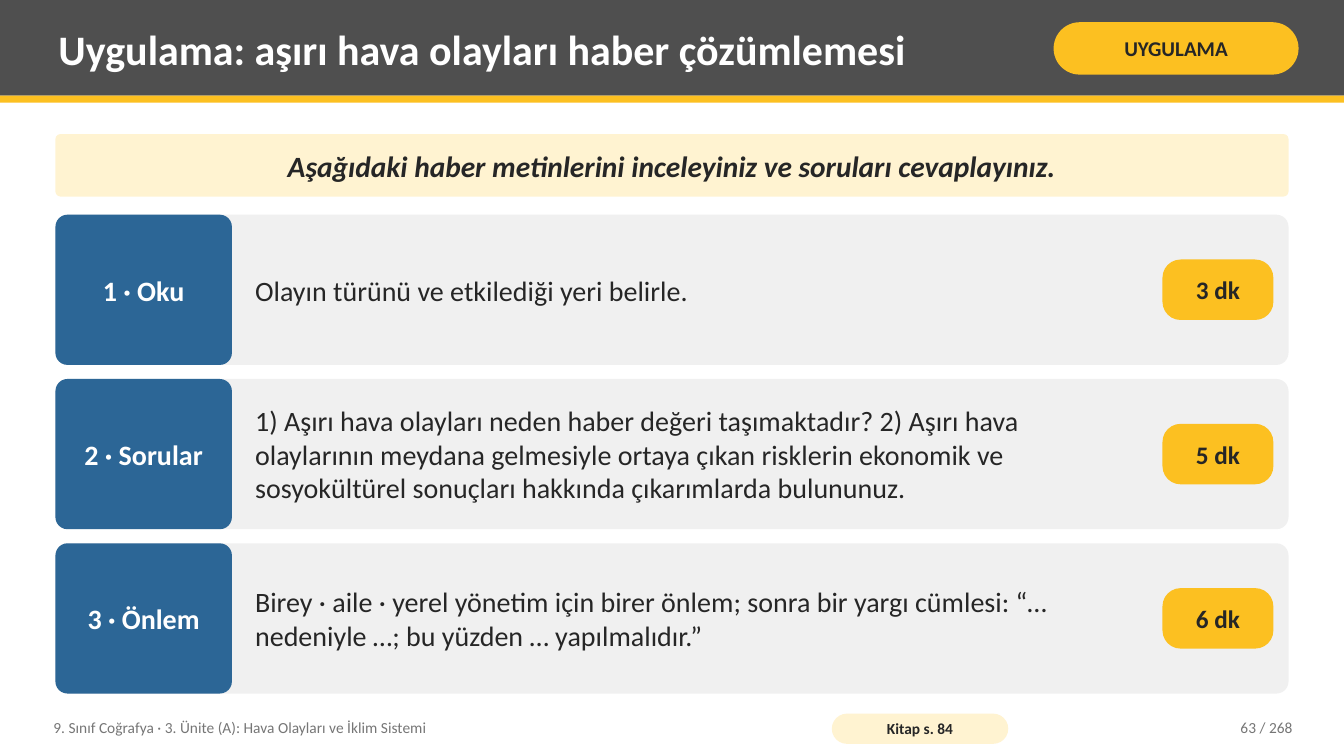
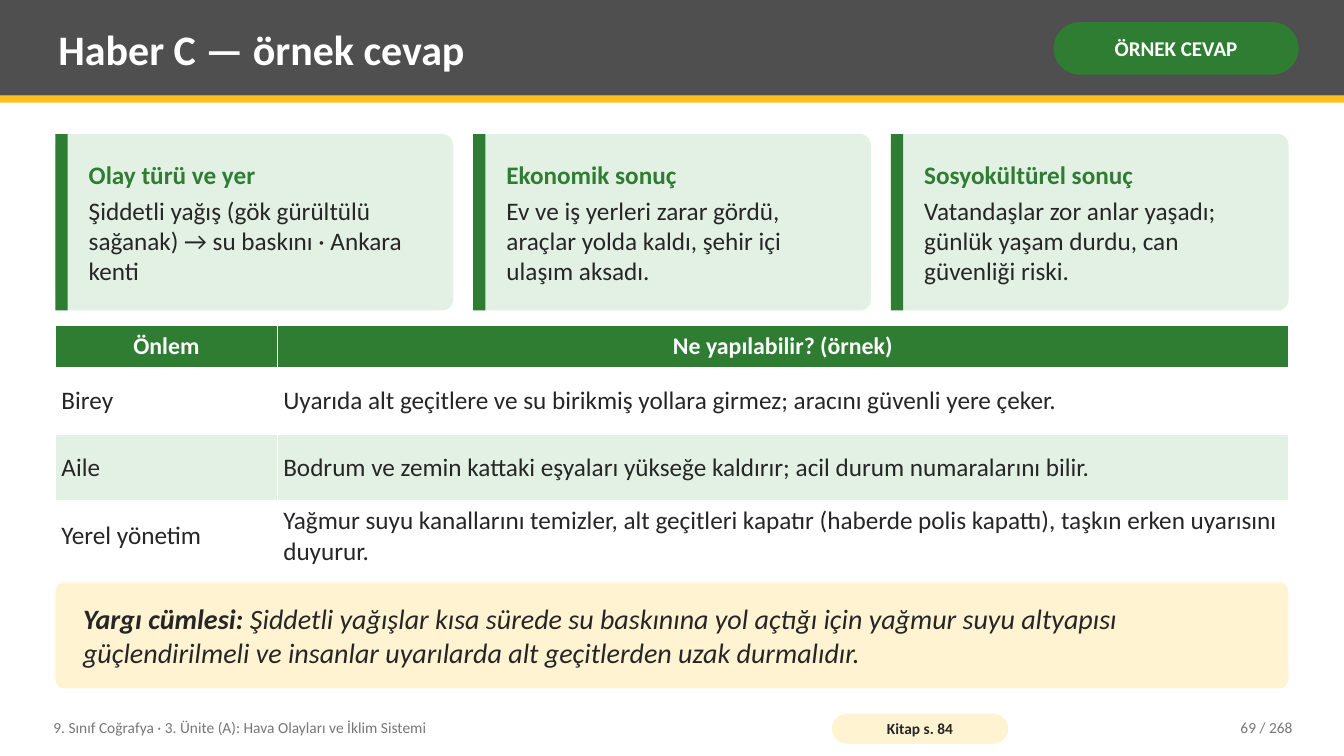
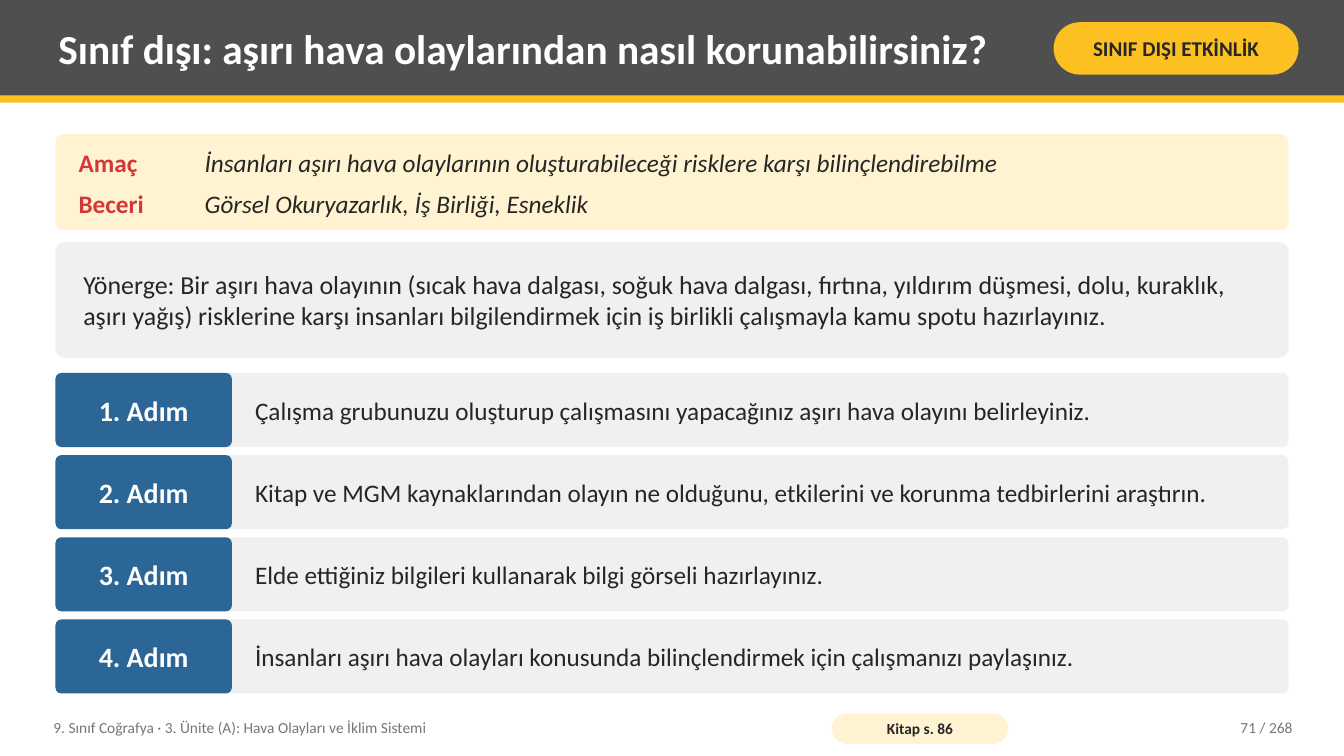
import pptx
import pptx.dml.color
import pptx.enum.shapes
import pptx.enum.text
import pptx.oxml
import pptx.oxml.ns
import pptx.util
from dataclasses import dataclass

Inches = pptx.util.Inches
Kind = pptx.enum.shapes.MSO_SHAPE
Align = pptx.enum.text.PP_ALIGN
Middle = pptx.enum.text.MSO_ANCHOR.MIDDLE


@dataclass(frozen=True)
class Theme:
    # Colours
    white: str = "FFFFFF"
    ink: str = "262626"
    dark: str = "4F4F4F"
    mute: str = "767676"
    gold: str = "FCC021"
    cream: str = "FFF3D1"
    pale: str = "F0F0F0"
    blue: str = "2C6696"
    green: str = "2E7D32"
    mint: str = "E3F1E4"
    red: str = "D3373A"
    # Type
    face: str = "Calibri"
    title: float = 30
    lead: float = 21
    big: float = 20
    body: float = 18
    head: float = 17
    tag: float = 15
    foot: float = 11
    # Page frame
    left: float = 0.55
    wide: float = 12.23
    top: float = 1.33
    end: float = 6.88


T = Theme()
COURSE = "9. Sınıf Coğrafya · 3. Ünite (A): Hava Olayları ve İklim Sistemi"
TOTAL = 268


def color(code):
    return pptx.dml.color.RGBColor.from_string(code)


class Deck:
    def __init__(self):
        self.show = pptx.Presentation()
        self.show.slide_width = Inches(13.33)
        self.show.slide_height = Inches(7.5)
        self.slide = None

    # Text
    def put(self, host, text, pad=(0.08, 0.04), align=Align.LEFT, after=0, **font):
        """Fill a shape or cell; text is a string or a list of lists of (words, format)."""
        frame = host.text_frame
        box = host if hasattr(host, "margin_left") else frame
        across, down = (Inches(side) for side in pad)
        place = {"margin_left": across, "margin_right": across, "margin_top": down,
                 "margin_bottom": down, "vertical_anchor": Middle}
        for name, value in place.items():
            setattr(box, name, value)
        frame.word_wrap = True
        lines = [[(text, {})]] if isinstance(text, str) else text
        for spot, line in enumerate(lines):
            para = frame.add_paragraph() if spot else frame.paragraphs[0]
            para.alignment = align
            if after and spot < len(lines) - 1:
                para.space_after = pptx.util.Pt(after)
            for words, extra in line:
                self.style(para.add_run(), words, {**font, **extra})

    def style(self, run, words, form):
        run.text = words
        form = {"name": T.face, "size": T.body, "bold": False, "italic": False,
                "ink": T.ink, **form}
        run.font.color.rgb = color(form.pop("ink"))
        form["size"] = pptx.util.Pt(form["size"])
        for name, value in form.items():
            setattr(run.font, name, value)

    def label(self, x, y, w, h, text, **form):
        box = self.slide.shapes.add_textbox(*map(Inches, (x, y, w, h)))
        self.put(box, text, **form)

    # Shapes
    def block(self, x, y, w, h, fill, text=None, curve=None, **form):
        kind = Kind.RECTANGLE if curve is None else Kind.ROUNDED_RECTANGLE
        shape = self.slide.shapes.add_shape(kind, *map(Inches, (x, y, w, h)))
        shape.shadow.inherit = False
        shape.fill.solid()
        shape.fill.fore_color.rgb = color(fill)
        shape.line.fill.background()
        if curve is not None:
            shape.adjustments[0] = curve
        if text:
            self.put(shape, text, **form)

    def panel(self, y, h, fill, text=None, **form):
        self.block(T.left, y, T.wide, h, fill, text, 0.08, **form)

    def pill(self, x, y, w, h, fill, text, curve=0.5, **form):
        self.block(x, y, w, h, fill, text, curve, align=Align.CENTER, bold=True, **form)

    # Page with title band, tag and footer
    def page(self, title, tag, book, number, fill=T.gold, ink=T.ink, size=T.title):
        self.slide = self.show.slides.add_slide(self.show.slide_layouts[6])
        self.block(0, 0, 13.33, 0.95, T.dark)
        self.block(0, 0.95, 13.33, 0.07, T.gold)
        self.label(0.5, 0.07, 9.75, 0.82, title, size=size, ink=T.white, bold=True)
        self.pill(10.45, 0.22, 2.43, 0.52, fill, tag, pad=(0.05, 0.02), size=T.tag, ink=ink)
        small = {"size": T.foot, "ink": T.mute}
        self.label(0.45, 7.04, 7.6, 0.36, COURSE, **small)
        self.pill(8.25, 7.08, 1.75, 0.3, T.cream, f"Kitap s. {book}", pad=(0.04, 0), size=T.foot)
        self.label(11.3, 7.04, 1.6, 0.36, f"{number} / {TOTAL}", align=Align.RIGHT, **small)

    # Rows that share the height down to the page end
    def steps(self, top, gap, rows, size):
        high = (T.end - top - gap * (len(rows) - 1)) / len(rows)
        for spot, (name, text, *time) in enumerate(rows):
            y = top + spot * (high + gap)
            self.panel(y, high, T.pale)
            self.pill(T.left, y, 1.75, high, T.blue, name, 0.08,
                      pad=(0.06, 0.08), size=T.big, ink=T.white)
            self.label(2.45, y, 8.88 if time else 10.23, high, text, size=size)
            for span in time:
                self.pill(11.53, y + (high - 0.6) / 2, 1.1, 0.6, T.gold, span, 0.3, pad=(0.03, 0))

    # Equal cards with an accent edge
    def cards(self, items, high=1.75, gap=0.2):
        wide = (T.wide - gap * (len(items) - 1)) / len(items)
        for spot, (head, text) in enumerate(items):
            x = T.left + spot * (wide + gap)
            self.block(x, T.top, wide, high, T.mint, curve=0.06)
            self.block(x, T.top, 0.12, high, T.green)
            lines = [[(head, {"ink": T.green, "bold": True})], [(text, {})]]
            self.label(x + 0.25, T.top + 0.06, wide - 0.35, high - 0.12, lines, after=4)

    # Table
    def table(self, y, rows, cols, highs):
        grid = self.slide.shapes.add_table(
            len(rows), len(cols), Inches(T.left), Inches(y),
            Inches(sum(cols)), Inches(sum(highs))).table
        grid.horz_banding = False
        for col, wide in zip(grid.columns, cols):
            col.width = Inches(wide)
        for spot, (row, high) in enumerate(zip(rows, highs)):
            grid.rows[spot].height = Inches(high)
            if spot == 0:
                fill = T.green
                form = {"align": Align.CENTER, "size": T.head, "ink": T.white, "bold": True}
            else:
                fill, form = (T.white if spot % 2 else T.mint), {}
            for cell, text in zip(grid.rows[spot].cells, row):
                cell.fill.solid()
                cell.fill.fore_color.rgb = color(fill)
                self.put(cell, text, pad=(0.06, 0.05), **form)
                self.edge(cell)

    def edge(self, cell):
        props = cell._tc.get_or_add_tcPr()
        for spot, side in enumerate("LRTB"):
            props.insert(spot, pptx.oxml.parse_xml(
                f'<a:ln{side} {pptx.oxml.ns.nsdecls("a")} w="12192"><a:solidFill>'
                f'<a:srgbClr val="{T.white}"/></a:solidFill></a:ln{side}>'))


def main():
    deck = Deck()

    # News task
    deck.page("Uygulama: aşırı hava olayları haber çözümlemesi", "UYGULAMA", 84, 63)
    deck.panel(T.top, 0.62, T.cream,
               "Aşağıdaki haber metinlerini inceleyiniz ve soruları cevaplayınız.",
               pad=(0.14, 0), align=Align.CENTER, size=T.lead, bold=True, italic=True)
    deck.steps(2.13, 0.14, [
        ("1 · Oku", "Olayın türünü ve etkilediği yeri belirle.", "3 dk"),
        ("2 · Sorular", "1) Aşırı hava olayları neden haber değeri taşımaktadır? 2) Aşırı hava "
         "olaylarının meydana gelmesiyle ortaya çıkan risklerin ekonomik ve sosyokültürel "
         "sonuçları hakkında çıkarımlarda bulununuz.", "5 dk"),
        ("3 · Önlem", "Birey · aile · yerel yönetim için birer önlem; sonra bir yargı cümlesi: "
         "“… nedeniyle …; bu yüzden … yapılmalıdır.”", "6 dk"),
    ], T.big)

    # Sample answer
    deck.page("Haber C — örnek cevap", "ÖRNEK CEVAP", 84, 69, T.green, T.white)
    deck.cards([
        ("Olay türü ve yer",
         "Şiddetli yağış (gök gürültülü sağanak) → su baskını · Ankara kenti"),
        ("Ekonomik sonuç",
         "Ev ve iş yerleri zarar gördü, araçlar yolda kaldı, şehir içi ulaşım aksadı."),
        ("Sosyokültürel sonuç",
         "Vatandaşlar zor anlar yaşadı; günlük yaşam durdu, can güvenliği riski."),
    ])
    deck.table(3.23, [
        ("Önlem", "Ne yapılabilir? (örnek)"),
        ("Birey", "Uyarıda alt geçitlere ve su birikmiş yollara girmez; "
         "aracını güvenli yere çeker."),
        ("Aile", "Bodrum ve zemin kattaki eşyaları yükseğe kaldırır; "
         "acil durum numaralarını bilir."),
        ("Yerel yönetim", "Yağmur suyu kanallarını temizler, alt geçitleri kapatır "
         "(haberde polis kapattı), taşkın erken uyarısını duyurur."),
    ], (2.2, 10.03), (0.42, 0.66, 0.66, 0.66))
    deck.panel(5.78, 1.05, T.cream, [[
        ("Yargı cümlesi:", {"bold": True}),
        (" Şiddetli yağışlar kısa sürede su baskınına yol açtığı için yağmur suyu altyapısı "
         "güçlendirilmeli ve insanlar uyarılarda alt geçitlerden uzak durmalıdır.", {}),
    ]], pad=(0.25, 0.08), size=T.big, italic=True)

    # Work outside class
    deck.page("Sınıf dışı: aşırı hava olaylarından nasıl korunabilirsiniz?",
              "SINIF DIŞI ETKİNLİK", 86, 71, size=29.5)
    deck.panel(T.top, 0.95, T.cream)
    for y, high, name, text in [
        (1.39, 0.44, "Amaç", "İnsanları aşırı hava olaylarının oluşturabileceği risklere "
         "karşı bilinçlendirebilme"),
        (1.81, 0.41, "Beceri", "Görsel Okuryazarlık, İş Birliği, Esneklik"),
    ]:
        deck.label(0.7, y, 1.25, high, name, ink=T.red, bold=True)
        deck.label(1.95, y, 10.63, high, text, italic=True)
    deck.panel(2.4, 1.15, T.pale,
               "Yönerge: Bir aşırı hava olayının (sıcak hava dalgası, soğuk hava dalgası, "
               "fırtına, yıldırım düşmesi, dolu, kuraklık, aşırı yağış) risklerine karşı "
               "insanları bilgilendirmek için iş birlikli çalışmayla kamu spotu hazırlayınız.",
               pad=(0.25, 0.08), size=18.5)
    tasks = [
        "Çalışma grubunuzu oluşturup çalışmasını yapacağınız aşırı hava olayını belirleyiniz.",
        "Kitap ve MGM kaynaklarından olayın ne olduğunu, etkilerini ve korunma tedbirlerini "
        "araştırın.",
        "Elde ettiğiniz bilgileri kullanarak bilgi görseli hazırlayınız.",
        "İnsanları aşırı hava olayları konusunda bilinçlendirmek için çalışmanızı paylaşınız.",
    ]
    deck.steps(3.7, 0.08, [(f"{n}. Adım", task) for n, task in enumerate(tasks, 1)], T.body)

    deck.show.save("out.pptx")


if __name__ == "__main__":
    main()
